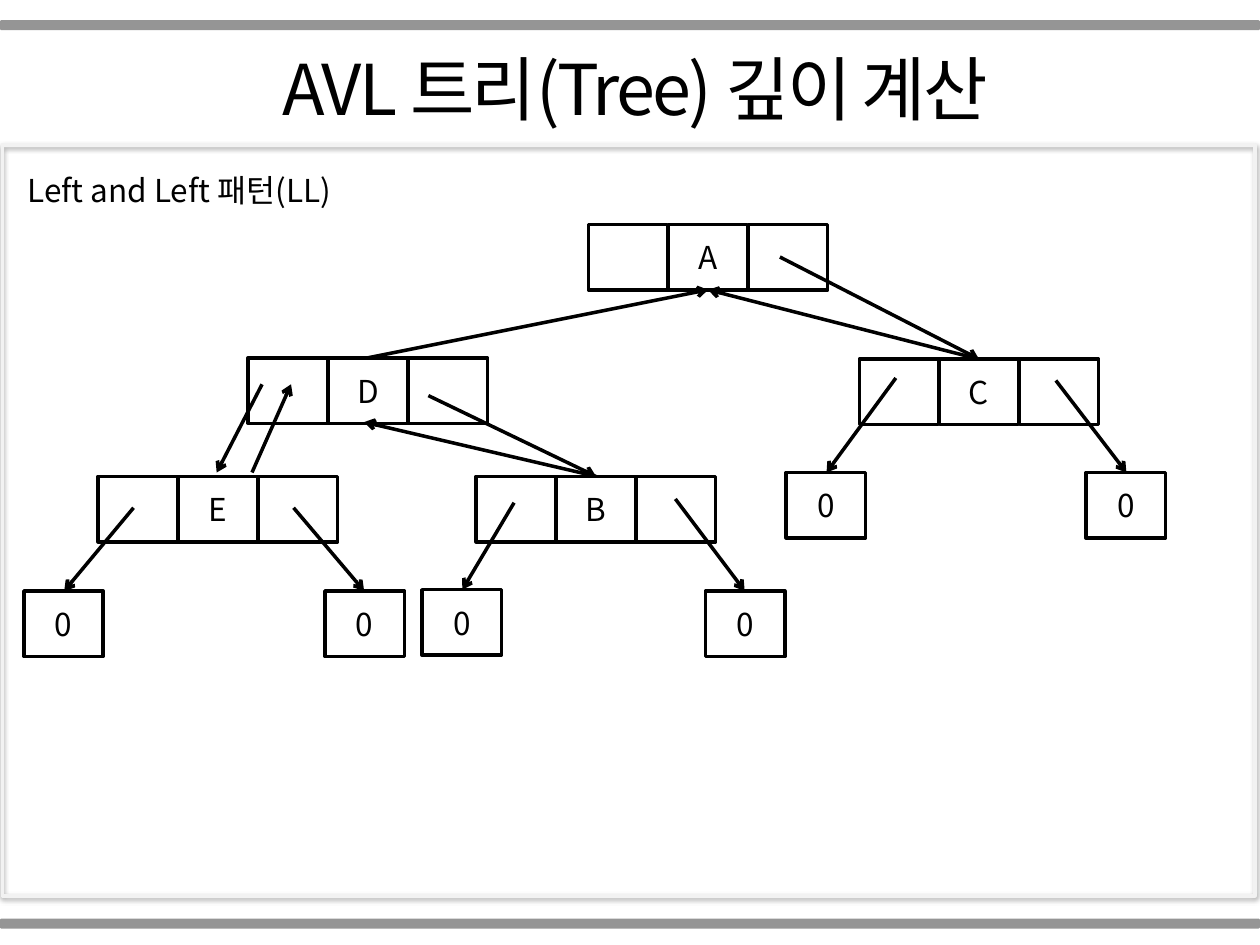
import pptx
import pptx.util
import pptx.dml.color
import pptx.enum.shapes
import pptx.enum.text
import pptx.oxml
import pptx.oxml.ns

Inches = pptx.util.Inches
Pt = pptx.util.Pt
RGBColor = pptx.dml.color.RGBColor
MSO_SHAPE = pptx.enum.shapes.MSO_SHAPE
PP_ALIGN = pptx.enum.text.PP_ALIGN
MSO_ANCHOR = pptx.enum.text.MSO_ANCHOR
qn = pptx.oxml.ns.qn

BLACK = RGBColor(0x00, 0x00, 0x00)
WHITE = RGBColor(0xFF, 0xFF, 0xFF)
GRAY = RGBColor(0x80, 0x80, 0x80)
PALE = RGBColor(0xF2, 0xF2, 0xF2)
FONT = "Noto Sans CJK KR"
CELL_W, CELL_H = 0.63, 0.52
PITCH = 1.27 / 2


def add_xml(parent, xml):
    ns = pptx.oxml.ns.nsdecls("a")
    parent.append(pptx.oxml.parse_xml(xml.replace("/>", f" {ns}/>", 1) if xml.endswith("/>")
                                      and xml.count("<") == 1 else xml.replace(">", f" {ns}>", 1)))


def write(tf, text, size=18, align=PP_ALIGN.LEFT, anchor=MSO_ANCHOR.TOP, spacing=None):
    tf.word_wrap = True
    tf.auto_size = pptx.enum.text.MSO_AUTO_SIZE.NONE
    tf.vertical_anchor = anchor
    tf.margin_left = tf.margin_right = Inches(0.1)
    tf.margin_top = tf.margin_bottom = Inches(0.05)
    p = tf.paragraphs[0]
    p.alignment = align
    r = p.add_run()
    r.text = text
    r.font.size = Pt(size)
    r.font.name = FONT
    r.font.color.rgb = BLACK
    rPr = r.font._element
    add_xml(rPr, f'<a:ea typeface="{FONT}"/>')
    if spacing is not None:
        rPr.set("spc", str(int(spacing * 100)))


class TreeSlide:
    """Draws linked tree nodes on one title-only slide."""

    def __init__(self, prs):
        self.s = prs.slides.add_slide(prs.slide_layouts[5])

    def title(self, text, x, y, w, h):
        sp = self.s.shapes.title
        sp.left, sp.top, sp.width, sp.height = map(Inches, (x, y, w, h))
        write(sp.text_frame, text, size=40, align=PP_ALIGN.CENTER, spacing=-1.5)

    def label(self, text, x, y, w, h):
        sp = self.s.shapes.add_textbox(*map(Inches, (x, y, w, h)))
        write(sp.text_frame, text)

    def frame(self, x, y, w, h):
        sp = self.s.shapes.add_shape(MSO_SHAPE.RECTANGLE, *map(Inches, (x, y, w, h)))
        sp.fill.background()
        sp.line.color.rgb = PALE
        sp.line.width = Pt(2)
        add_xml(sp._element.spPr,
                f'<a:effectLst><a:outerShdw blurRad="{Pt(3.1)}" dist="{Pt(1.6)}" dir="5400000" '
                'rotWithShape="0"><a:srgbClr val="000000"><a:alpha val="38000"/></a:srgbClr>'
                '</a:outerShdw></a:effectLst>')

    def bar(self, y):
        sp = self.s.shapes.add_shape(MSO_SHAPE.ROUNDED_RECTANGLE, *map(Inches, (0, y, 10, 0.08)))
        sp.shadow.inherit = False
        sp.fill.solid()
        sp.fill.fore_color.rgb = GRAY
        add_xml(sp._element.spPr.find(qn("a:solidFill"))[0], '<a:alpha val="83000"/>')
        sp.line.fill.background()

    def cell(self, x, y, text=None, shapes=None):
        shapes = self.s.shapes if shapes is None else shapes
        sp = shapes.add_shape(MSO_SHAPE.RECTANGLE, *map(Inches, (x, y, CELL_W, CELL_H)))
        sp.shadow.inherit = False
        sp.fill.solid()
        sp.fill.fore_color.rgb = WHITE
        sp.line.color.rgb = BLACK
        sp.line.width = Pt(2)
        if text:
            write(sp.text_frame, text, align=PP_ALIGN.CENTER, anchor=MSO_ANCHOR.MIDDLE)

    def node(self, name, x, y):
        group = self.s.shapes.add_group_shape()
        for i, text in ((2, None), (0, None), (1, name)):
            self.cell(x + i * PITCH, y, text, group.shapes)

    def arrow(self, x1, y1, x2, y2):
        c = self.s.shapes.add_connector(pptx.enum.shapes.MSO_CONNECTOR.STRAIGHT,
                                        *map(Inches, (x1, y1, x2, y2)))
        c.line.color.rgb = BLACK
        c.line.width = Pt(2)
        add_xml(c.line._get_or_add_ln(), '<a:tailEnd type="arrow"/>')
        add_xml(c._element.spPr, "<a:effectLst/>")


NODES = {"A": (4.67, 1.78), "C": (6.82, 2.85), "D": (1.97, 2.84),
         "E": (0.78, 3.78), "B": (3.78, 3.78)}
LEAVES = [(6.24, 3.75), (8.62, 3.75), (0.19, 4.69), (2.58, 4.69), (3.35, 4.68), (5.6, 4.69)]
LEAF_LINKS = [(7.11, 3, 6.56, 3.75), (8.38, 3.02, 8.94, 3.75),
              (1.06, 4.03, 0.51, 4.69), (2.33, 4.03, 2.89, 4.69),
              (4.08, 3.99, 3.67, 4.68), (5.36, 3.96, 5.91, 4.69)]
CHILD_LINKS = [(6.19, 2.04, 7.77, 2.85), (3.4, 3.14, 4.73, 3.78), (2.08, 3.05, 1.72, 3.75)]
PARENT_LINKS = [(2, 3.75, 2.31, 3.05), (4.73, 3.78, 2.89, 3.35),
                (2.92, 2.84, 5.62, 2.3), (7.77, 2.85, 5.62, 2.3)]

prs = pptx.Presentation()
prs.slide_width, prs.slide_height = Inches(10), Inches(7.5)
tree = TreeSlide(prs)
tree.frame(0.02, 1.15, 9.94, 5.96)
for y in (0.16, 7.29):
    tree.bar(y)
tree.title(" AVL 트리(Tree) 깊이 계산", 0.02, 0.31, 9.94, 0.77)
tree.label("Left and Left 패턴(LL)", 0.12, 1.31, 9.88, 0.4)
for name, place in NODES.items():
    tree.node(name, *place)
for place in LEAVES:
    tree.cell(*place, "0")
for link in LEAF_LINKS + CHILD_LINKS + PARENT_LINKS:
    tree.arrow(*link)
prs.save("out.pptx")
